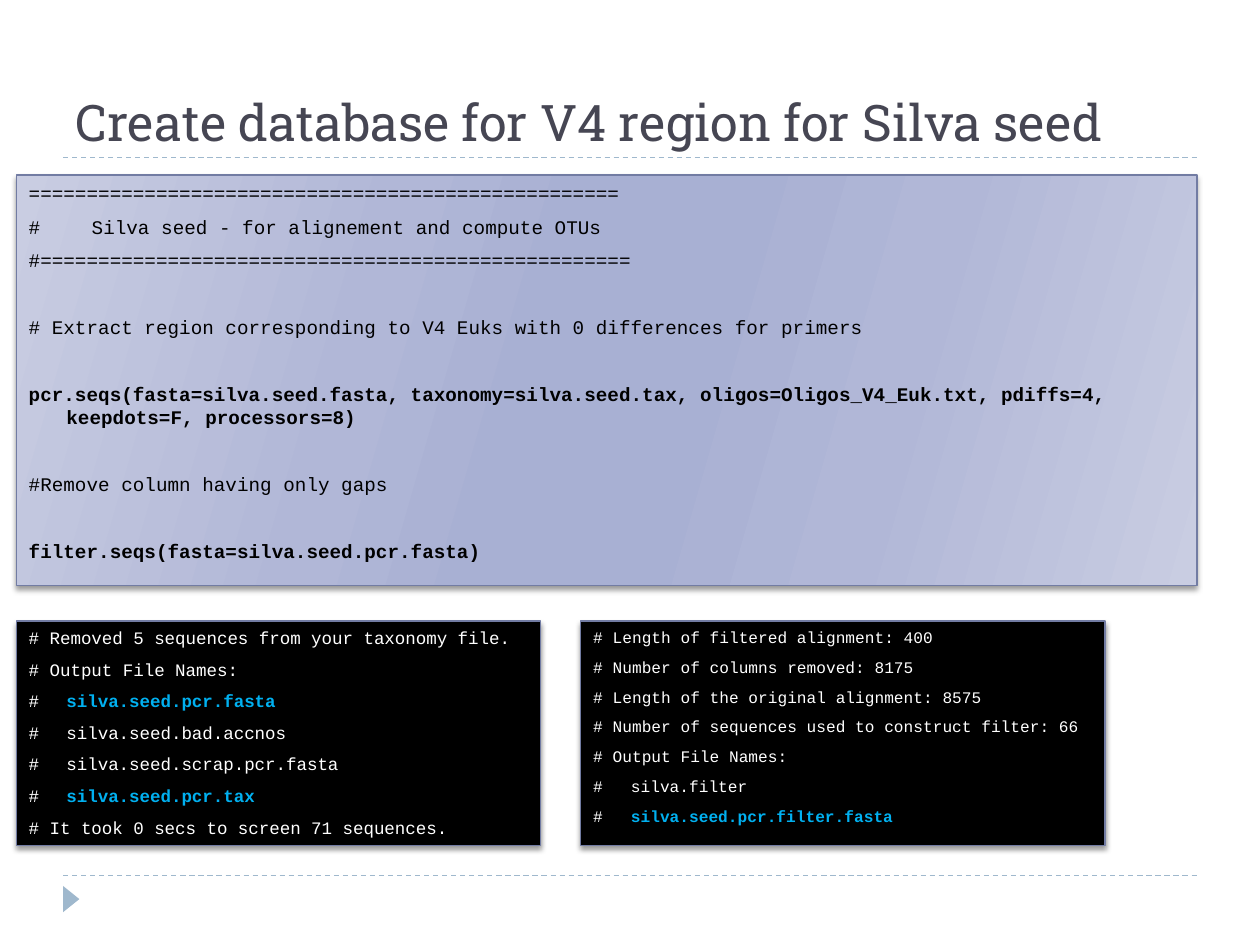
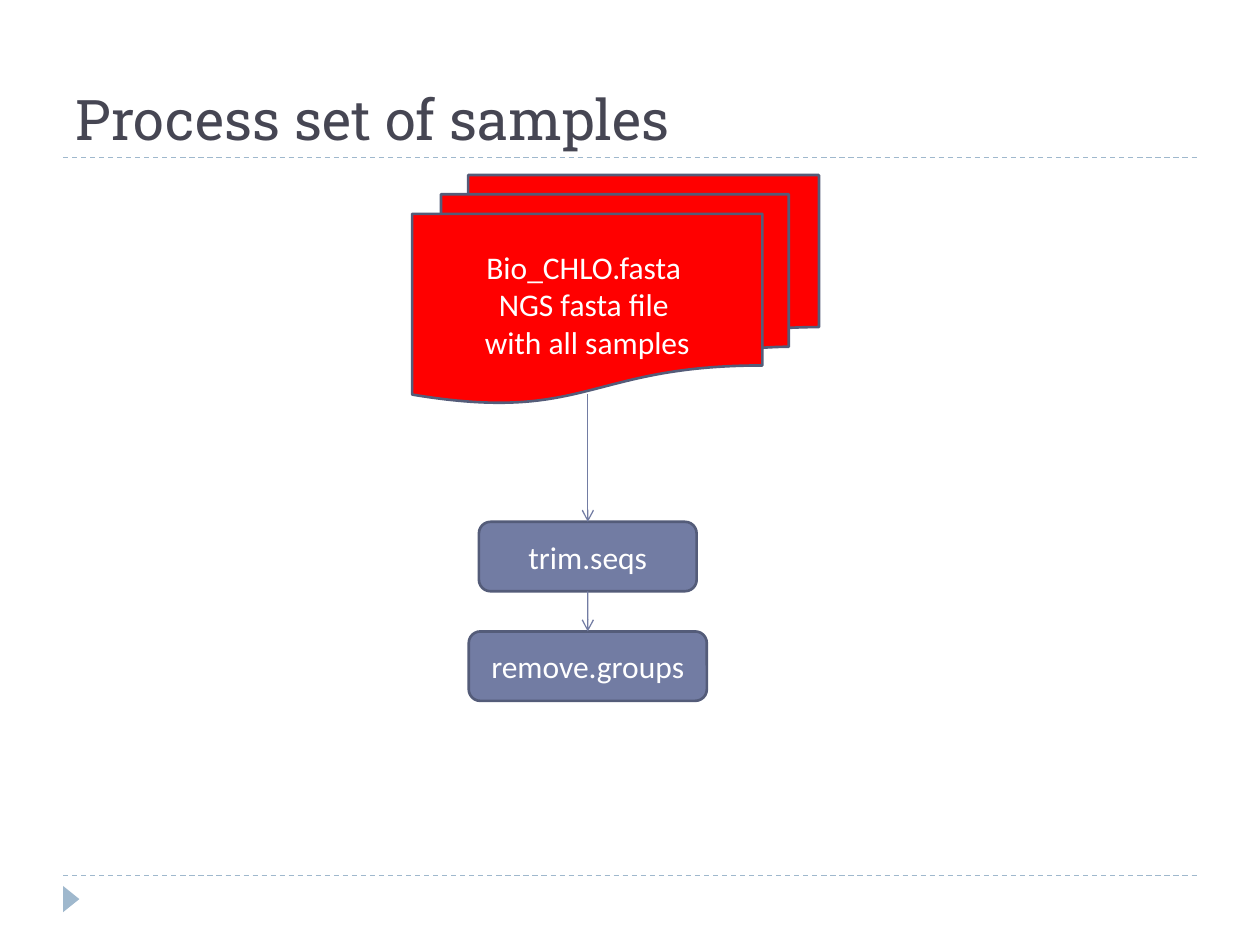
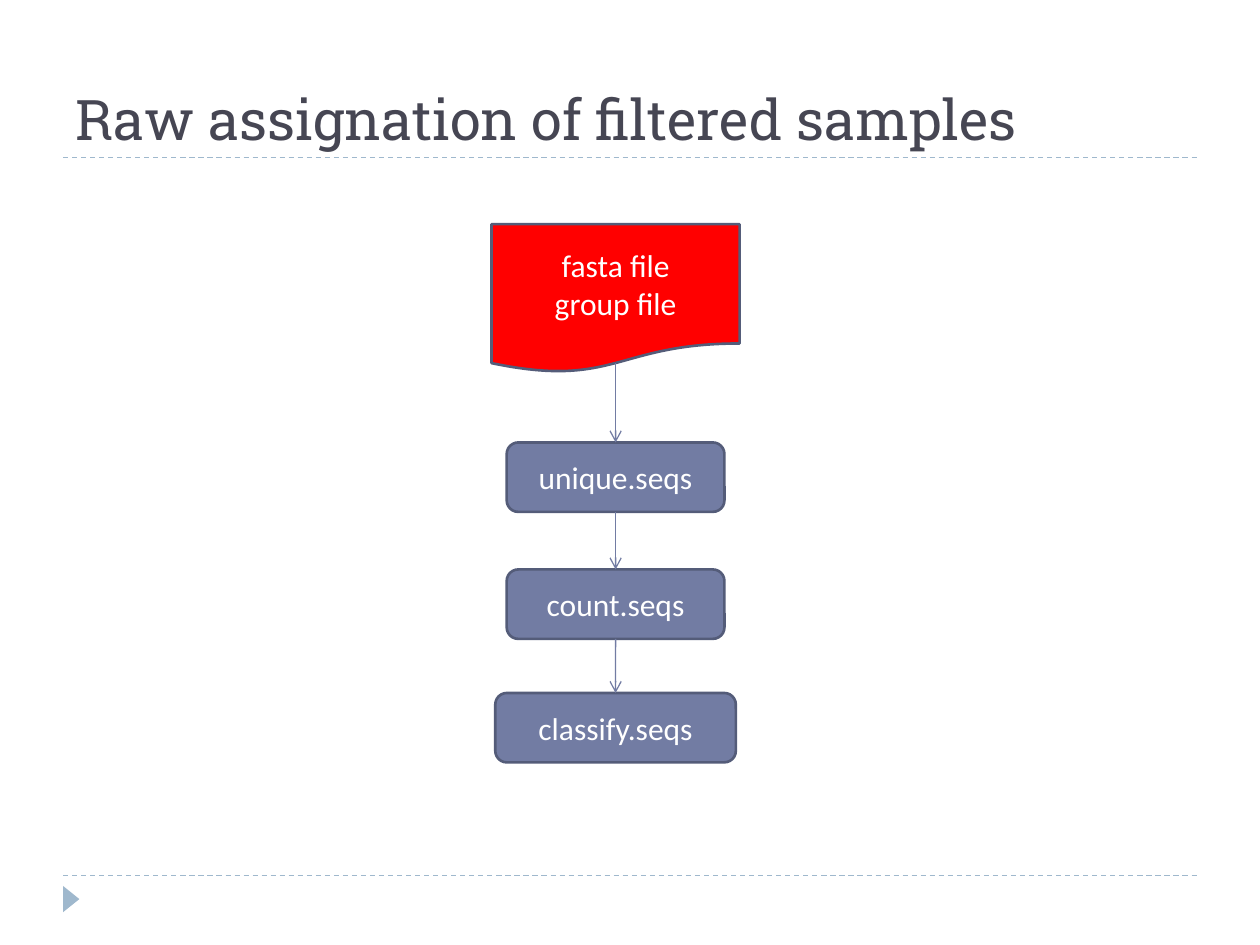
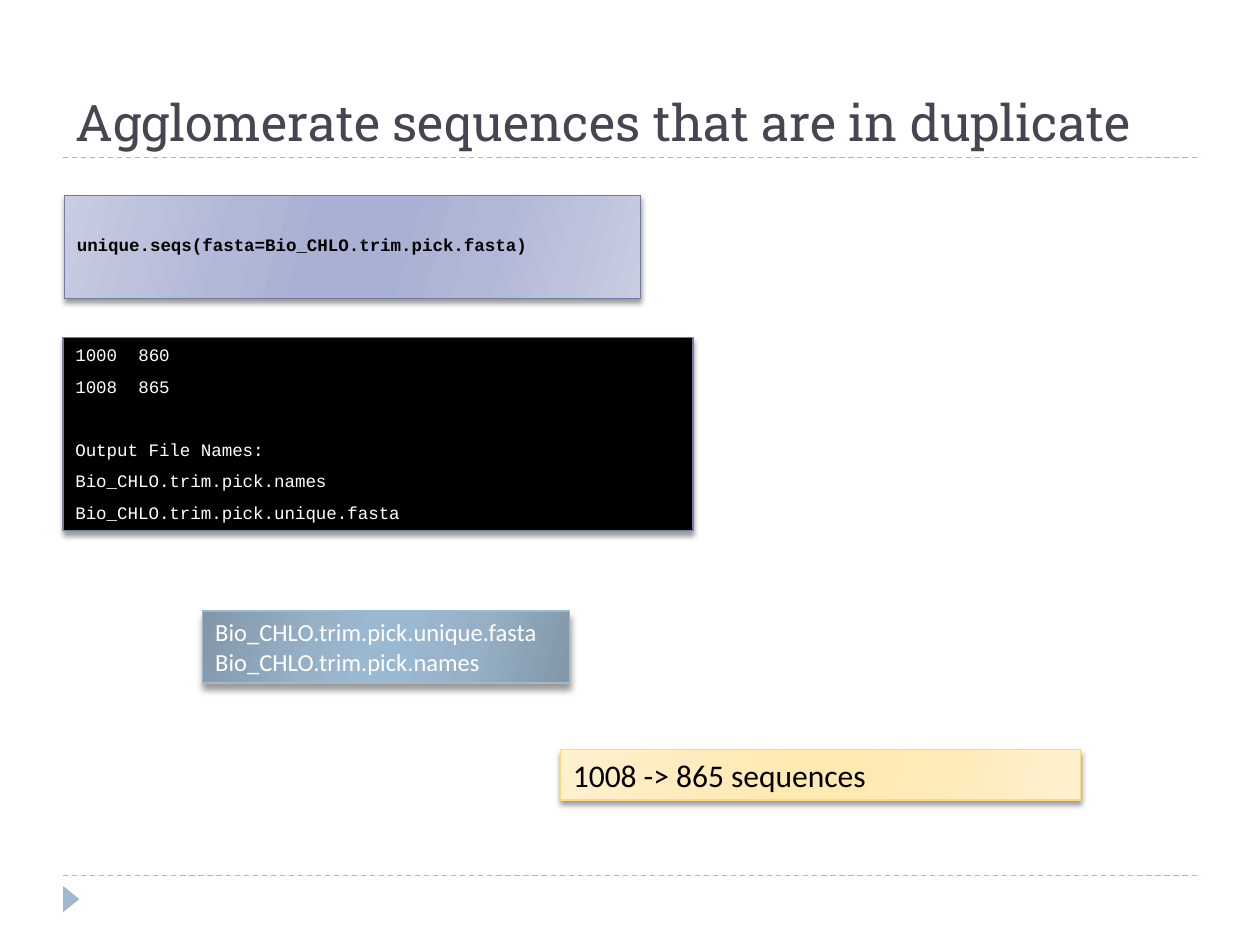
from lxml import etree
from pptx import Presentation
from pptx.dml.color import RGBColor
from pptx.enum.dml import MSO_LINE
from pptx.enum.shapes import MSO_CONNECTOR, MSO_SHAPE
from pptx.enum.text import MSO_ANCHOR, PP_ALIGN
from pptx.oxml.ns import qn
from pptx.util import Cm, Pt

RECT = MSO_SHAPE.RECTANGLE
STEP = MSO_SHAPE.FLOWCHART_ALTERNATE_PROCESS
DOCUMENT = MSO_SHAPE.FLOWCHART_DOCUMENT
DOCUMENTS = MSO_SHAPE.FLOWCHART_MULTIDOCUMENT
TRIANGLE = MSO_SHAPE.ISOSCELES_TRIANGLE
STRAIGHT = MSO_CONNECTOR.STRAIGHT
DASH = MSO_LINE.DASH
LEFT, CENTER = PP_ALIGN.LEFT, PP_ALIGN.CENTER
TOP, MIDDLE, BOTTOM = MSO_ANCHOR.TOP, MSO_ANCHOR.MIDDLE, MSO_ANCHOR.BOTTOM

COLORS = {
    "title": "464653", "rule": "9FB8CD", "step": "727CA3", "step_edge": "545C79",
    "file": "FF0000", "black": "000000", "white": "FFFFFF", "key": "00B0F0",
    "gold": "FADA7A",
}
GRADIENT_STOPS = (0, 30, 45, 55, 73, 100)
GRADIENTS = {
    "command": ("C9CDE2", "B1B7D7", "A8B0D3"),
    "files": ("8297A8", "96B0C6", "9BB8D1"),
    "count": ("FFF0CF", "FFEBBA", "FFE9B3"),
}
PANELS = {
    "command": {"edge": "step", "ink": "black", "font": "Courier New", "shadow": (3, 2)},
    "log": {"edge": "step", "ink": "white", "font": "Courier New", "shadow": (3, 2)},
    "files": {"edge": "rule", "ink": "white", "font": "Calibri", "shadow": (4, 3.4)},
    "count": {"edge": "gold", "ink": "black", "font": "Calibri", "shadow": (3, 2)},
}
HANGING = 0.76
MARGIN_LEFT, MARGIN_RIGHT = 1.27, 24.13
TITLE_BOTTOM, FOOTER_TOP = 3.18, 17.65
STEP_HEIGHT = 1.4


def line(*runs, gap=6, column=0):
    return {"runs": runs, "gap": gap, "column": column}


def bold(text):
    return text, "bold"


def key(text):
    return text, "key"


BAR = "=" * 51
SLIDES = [
    {
        "title": "Create database for V4 region for Silva seed", "title_size": 28.8,
        "panels": [
            ("command", (0.33, 3.53, 23.8, 8.28), 11, [
                line(BAR),
                line("#\tSilva seed - for alignement and compute OTUs", column=8),
                line("#" + BAR),
                line("# Extract region corresponding to V4 Euks with 0 differences for primers", gap=25),
                line(bold("pcr.seqs(fasta=silva.seed.fasta, taxonomy=silva.seed.tax, "
                          "oligos=Oligos_V4_Euk.txt, pdiffs=4, keepdots=F, processors=8)"), gap=25),
                line("#Remove column having only gaps", gap=25),
                line(bold("filter.seqs(fasta=silva.seed.pcr.fasta)"), gap=25),
            ]),
            ("log", (0.33, 12.52, 10.57, 4.52), 10, [
                line("# Removed 5 sequences from your taxonomy file."),
                line("# Output File Names:"),
                line("# \t", key("silva.seed.pcr.fasta")),
                line("# \tsilva.seed.bad.accnos"),
                line("# \tsilva.seed.scrap.pcr.fasta"),
                line("# \t", key("silva.seed.pcr.tax")),
                line("# It took 0 secs to screen 71 sequences."),
            ]),
            ("log", (11.71, 12.52, 10.57, 4.52), 9.2, [
                line("# Length of filtered alignment: 400"),
                line("# Number of columns removed: 8175"),
                line("# Length of the original alignment: 8575"),
                line("# Number of sequences used to construct filter: 66"),
                line("# Output File Names:"),
                line("# \tsilva.filter"),
                line("# \t", key("silva.seed.pcr.filter.fasta")),
            ]),
        ],
    },
    {
        "title": "Process set of samples", "title_size": 32,
        "flow": {
            "source": (DOCUMENTS, (8.31, 3.53, 8.2, 4.6),
                       ["Bio_CHLO.fasta \vNGS fasta file ", "with all samples"]),
            "axis": 11.85, "start": 7.95,
            "steps": [("trim.seqs", 10.52, 4.39), ("remove.groups", 12.73, 4.8)],
        },
    },
    {
        "title": "Raw assignation of filtered samples", "title_size": 32,
        "flow": {
            "source": (DOCUMENT, (9.91, 4.52, 5, 3), ["fasta file", "group file"]),
            "axis": 12.41, "start": 7.32,
            "steps": [("unique.seqs", 8.92, 4.39), ("count.seqs", 11.48, 4.39),
                      ("classify.seqs", 13.97, 4.85)],
        },
    },
    {
        "title": "Agglomerate sequences that are in duplicate", "title_size": 28.8,
        "panels": [
            ("command", (1.3, 3.94, 11.61, 2.08), 10,
             [line(bold("unique.seqs(fasta=Bio_CHLO.trim.pick.fasta)"))]),
            ("files", (4.09, 12.32, 7.39, 1.45), 14, [
                line("Bio_CHLO.trim.pick.unique.fasta", gap=0),
                line("Bio_CHLO.trim.pick.names", gap=0),
            ]),
            ("count", (11.3, 15.11, 10.49, 1.02), 18, [line("1008 -> 865 sequences", gap=0)]),
            ("log", (1.27, 6.81, 12.7, 3.89), 10, [
                line("1000\t860", column=8),
                line("1008\t865", column=8),
                line("Output File Names:", gap=24),
                line("Bio_CHLO.trim.pick.names"),
                line("Bio_CHLO.trim.pick.unique.fasta"),
            ]),
        ],
    },
]


def rgb(name):
    return RGBColor.from_string(COLORS[name])


def apply(target, **values):
    for name, value in values.items():
        setattr(target, name, value)


def style_run(run, color, **values):
    apply(run.font, **values)
    run.font.color.rgb = rgb(color)


def add_block(slide, kind, box, fill, edge=None, edge_width=0.75):
    block = slide.shapes.add_shape(kind, *map(Cm, box))
    block.shadow.inherit = False
    if fill in GRADIENTS:
        paint_gradient(block, GRADIENTS[fill])
    else:
        block.fill.solid()
        block.fill.fore_color.rgb = rgb(fill)
    if edge:
        block.line.color.rgb = rgb(edge)
        block.line.width = Pt(edge_width)
    else:
        block.line.fill.background()
    return block


def paint_gradient(block, shades):
    block.fill.gradient()
    block.fill.gradient_angle = 344
    stops = block.element.spPr.find(".//" + qn("a:gsLst"))
    for stop in list(stops):
        stops.remove(stop)
    for position, shade in zip(GRADIENT_STOPS, shades + shades[::-1]):
        stop = etree.SubElement(stops, qn("a:gs"), pos=str(position * 1000))
        etree.SubElement(stop, qn("a:srgbClr"), val=shade)


def cast_shadow(block, blur, distance):
    effects = block.element.spPr.find(qn("a:effectLst"))
    shadow = etree.SubElement(effects, qn("a:outerShdw"), blurRad=str(Pt(blur)),
                              dist=str(Pt(distance)), dir="5400000", rotWithShape="0")
    color = etree.SubElement(shadow, qn("a:srgbClr"), val=COLORS["black"])
    etree.SubElement(color, qn("a:alpha"), val="40000")


def add_rule(slide, start, end, color):
    rule = slide.shapes.add_connector(STRAIGHT, *map(Cm, start + end))
    rule.line.color.rgb = rgb(color)
    rule.line.width = Pt(0.75)
    etree.SubElement(rule.element.spPr, qn("a:effectLst"))
    return rule


def indent(paragraph, size, column):
    properties = paragraph._p.get_or_add_pPr()
    hanging = 0 if column else Cm(HANGING)
    properties.set("marL", str(hanging))
    properties.set("indent", str(-hanging))
    if column:
        tabs = etree.SubElement(properties, qn("a:tabLst"))
        etree.SubElement(tabs, qn("a:tab"), pos=str(Pt(column * size * 0.6)), algn="l")


def add_panel(slide, kind, box, size, lines):
    look = PANELS[kind]
    panel = add_block(slide, RECT, box, "black" if kind == "log" else kind, look["edge"])
    cast_shadow(panel, *look["shadow"])
    frame = panel.text_frame
    apply(frame, word_wrap=True, vertical_anchor=TOP)
    if len(lines) == 1 and kind == "command":
        frame.margin_top = Cm(0.77)
    for number, entry in enumerate(lines):
        paragraph = frame.add_paragraph() if number else frame.paragraphs[0]
        apply(paragraph, alignment=LEFT, space_before=Pt(entry["gap"]))
        if look["font"] == "Courier New":
            indent(paragraph, size, entry["column"])
        for part in entry["runs"]:
            text, mark = (part, None) if isinstance(part, str) else part
            run = paragraph.add_run()
            run.text = text
            style_run(run, "key" if mark == "key" else look["ink"],
                      name=look["font"], size=Pt(size), bold=mark is not None)


def add_node(slide, kind, box, fill, lines):
    node = add_block(slide, kind, box, fill, "step_edge", 1.5)
    frame = node.text_frame
    apply(frame, word_wrap=True, vertical_anchor=MIDDLE)
    for number, text in enumerate(lines):
        paragraph = frame.add_paragraph() if number else frame.paragraphs[0]
        apply(paragraph, text=text, alignment=CENTER)
        for run in paragraph.runs:
            style_run(run, "white", name="Calibri", size=Pt(18))
    return node


def add_flow(slide, flow):
    kind, box, lines = flow["source"]
    add_node(slide, kind, box, "file", lines)
    axis, bottom, previous = flow["axis"], flow["start"], None
    for label, top, width in flow["steps"]:
        step = add_node(slide, STEP, (axis - width / 2, top, width, STEP_HEIGHT), "step", [label])
        arrow = add_rule(slide, (axis, bottom), (axis, top), "step")
        etree.SubElement(arrow.line._get_or_add_ln(), qn("a:tailEnd"), type="arrow")
        if previous:
            arrow.begin_connect(previous, 2)
        arrow.end_connect(step, 0)
        previous, bottom = step, top + STEP_HEIGHT


def set_title(slide, text, size):
    title = slide.shapes.title
    top = 0 if size == 32 else 0.43
    apply(title, left=Cm(MARGIN_LEFT), top=Cm(top),
          width=Cm(MARGIN_RIGHT - MARGIN_LEFT), height=Cm(TITLE_BOTTOM - top))
    apply(title.text_frame, text=text, word_wrap=True, vertical_anchor=BOTTOM)
    paragraph = title.text_frame.paragraphs[0]
    paragraph.alignment = LEFT
    style_run(paragraph.runs[0], "title", name="Roboto Slab", size=Pt(size))


def decorate_layout(layout, slide):
    decorations = []
    for height in (FOOTER_TOP, TITLE_BOTTOM):
        rule = add_rule(slide, (MARGIN_LEFT, height), (MARGIN_RIGHT, height), "rule")
        rule.line.dash_style = DASH
        decorations.append(rule)
    pointer = add_block(slide, TRIANGLE, (1.17, 17.96, 0.53, 0.33), "rule")
    pointer.rotation = 90
    for decoration in decorations + [pointer]:
        layout.shapes.element.append(decoration.element)


def main():
    deck = Presentation()
    deck.slide_width, deck.slide_height = Cm(25.4), Cm(19.05)
    layout = deck.slide_layouts[5]
    for number, content in enumerate(SLIDES):
        slide = deck.slides.add_slide(layout)
        if number == 0:
            decorate_layout(layout, slide)
        set_title(slide, content["title"], content["title_size"])
        for panel in content.get("panels", []):
            add_panel(slide, *panel)
        if "flow" in content:
            add_flow(slide, content["flow"])
    deck.save("out.pptx")


if __name__ == "__main__":
    main()
